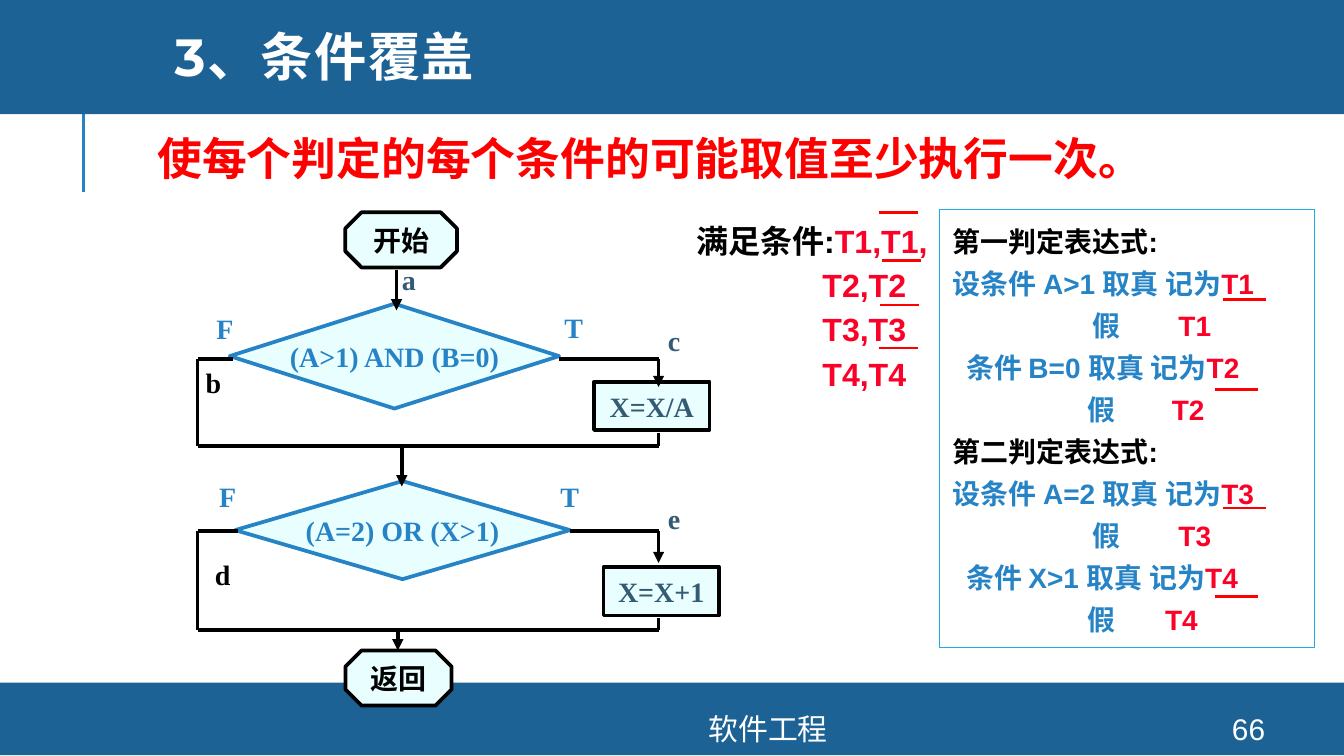
import pptx
import pptx.util
import pptx.dml.color
import pptx.enum.dml
import pptx.enum.shapes
import pptx.enum.text
import pptx.oxml.ns
from lxml import etree

Inches, Pt = pptx.util.Inches, pptx.util.Pt
Kind = pptx.enum.shapes.MSO_SHAPE
Align = pptx.enum.text.PP_ALIGN
Anchor = pptx.enum.text.MSO_ANCHOR
qn = pptx.oxml.ns.qn

HUE = {"band": "1D6294", "blue": "2683C6", "sky": "1CADE4", "ice": "E9FFFF",
       "slate": "335B74", "ink": "000000", "white": "FFFFFF",
       "red": "FF0000", "mark": "FC0128"}
CJK = "Noto Sans CJK SC"
SLIM = (0.07, 0.04)


def rgb(name):
    return pptx.dml.color.RGBColor.from_string(HUE[name])


def frame(shape, anchor=Anchor.TOP, inset=(0.1, 0.05), wrap=True):
    body = shape.text_frame
    body.auto_size = pptx.enum.text.MSO_AUTO_SIZE.NONE
    body.word_wrap = wrap
    body.vertical_anchor = anchor
    body.margin_left = body.margin_right = Inches(inset[0])
    body.margin_top = body.margin_bottom = Inches(inset[1])
    return body


def write(par, runs, size, face="Arial", bold=True, align=Align.LEFT,
          lead=None, tabs=()):
    """Fill a paragraph with (text, colour) runs."""
    par.alignment = align
    par.space_before = Pt(0)
    if lead:
        par.line_spacing = lead
    props = par._p.get_or_add_pPr()
    if tabs:
        stops = etree.SubElement(props, qn("a:tabLst"))
        for pos in tabs:
            etree.SubElement(stops, qn("a:tab"), pos=str(Inches(pos)), algn="l")
    par.font.name, par.font.size, par.font.bold = face, Pt(size), bold
    base = props.find(qn("a:defRPr"))
    for text, hue in runs:
        run = par.add_run()
        run.text = text
        if len(runs) > 1:
            run.font.color.rgb = rgb(hue)
    if len(runs) == 1:
        par.font.color.rgb = rgb(runs[0][1])
    etree.SubElement(base, qn("a:ea"), typeface=CJK)
    return base


def shape(slide, kind, box, fill=None, edge=None, width=2):
    item = slide.shapes.add_shape(kind, *map(Inches, box))
    item.shadow.inherit = False
    if fill:
        item.fill.solid()
        item.fill.fore_color.rgb = rgb(fill)
    else:
        item.fill.background()
    if edge:
        item.line.color.rgb = rgb(edge)
        item.line.width = Pt(width)
    else:
        item.line.fill.background()
    return item


def node(slide, kind, box, text, hue, edge="ink", face="Times New Roman"):
    item = shape(slide, kind, box, "ice", edge)
    if kind == Kind.OCTAGON:
        item.adjustments[0] = 0.293
    body = frame(item, Anchor.MIDDLE, wrap=False)
    write(body.paragraphs[0], [(text, hue)], 15, face, align=Align.CENTER)


def line(slide, ends, hue="ink", width=2, arrow=False):
    item = slide.shapes.add_connector(
        pptx.enum.shapes.MSO_CONNECTOR.STRAIGHT, *map(Inches, ends))
    item.line.color.rgb = rgb(hue)
    item.line.width = Pt(width)
    props = item._element.spPr
    if arrow:
        etree.SubElement(props.find(qn("a:ln")), qn("a:tailEnd"), type="triangle")
    etree.SubElement(props, qn("a:effectLst"))


def label(slide, box, text, hue, size=15, face="Times New Roman", **style):
    item = slide.shapes.add_textbox(*map(Inches, box))
    body = frame(item, style.pop("anchor", Anchor.TOP), SLIM)
    write(body.paragraphs[0], [(text, hue)], size, face, **style)


def heads(slide):
    """Bands, title, lead sentence and footer."""
    line(slide, (0.62, 1.43, 0.62, 0.68), "blue", 1.5)
    shape(slide, Kind.RECTANGLE, (0, 5.08, 10, 0.54), "band")
    shape(slide, Kind.RECTANGLE, (0, -0.03, 10, 0.88), "band")
    title, lead = slide.shapes.title, slide.placeholders[1]
    for item, box in ((title, (1.2, 0, 8.49, 0.91)), (lead, (1.1, 0.89, 7.71, 1.2))):
        item.left, item.top, item.width, item.height = map(Inches, box)
        slide.shapes._spTree.append(item._element)  # in front of the bands
    body = frame(title, Anchor.MIDDLE)
    base = write(body.paragraphs[0], [("3、条件覆盖", "white")], 28,
                 "Montserrat", lead=0.8)
    base.set("spc", "80")
    write(frame(lead, inset=SLIM).paragraphs[0],
          [("使每个判定的每个条件的可能取值至少执行一次。", "red")], 24,
          align=Align.JUSTIFY, lead=1.1)
    for left, wide, text in ((2.61, 6.21, "软件工程"), (8.89, 0.8, "66")):
        label(slide, (left, 5.31, wide, 0.23), text, "white", 16, "Arial",
              bold=False, align=Align.CENTER, anchor=Anchor.MIDDLE)


def branch(slide, x, y, test, size, inset, exit, step, drop, foot, join, tags):
    """One decision with its false wire, true step and joining wire."""
    wide, high = size
    west, east = x + 0.03, x + 3.46
    node(slide, Kind.DIAMOND, (x + inset, y, wide, high), test, "blue", "blue")
    text, left, top = step
    node(slide, Kind.RECTANGLE, (x + left, y + top, 0.86, 0.36), text, "slate")
    mid, end = y + exit, y + join
    for ends in ((x + inset + 0.02, mid, west, mid), (west, mid, west, end),
                 (west, end, east, end), (east, y + foot, east, end),
                 (x + inset + wide, mid, east, mid)):
        line(slide, ends)
    line(slide, (east, mid, east, y + drop), arrow=True)
    for text, hue, left, top in tags:
        label(slide, (x + left, y + top, 0.36, 0.33), text, hue)


def flow(slide, x, y):
    """Flow chart from start to return."""
    for text, top, wide in (("开始", 0, 0.83), ("返回", 3.26, 0.79)):
        node(slide, Kind.OCTAGON, (x + 1.13, y + top, wide, 0.41), text,
             "ink", face=CJK)
    branch(slide, x, y + 0.68, "(A>1) AND (B=0)", (2.45, 0.78), 0.27, 0.41,
           ("X=X/A", 2.98, 0.58), 0.62, 0.96, 1.06,
           (("F", "blue", 0.1, 0.02), ("T", "blue", 2.69, 0.01),
            ("b", "ink", 0.02, 0.42), ("c", "slate", 3.46, 0.11)))
    branch(slide, x, y + 2, "(A=2) OR (X>1)", (2.49, 0.73), 0.31, 0.37,
           ("X=X+1", 3.05, 0.64), 0.61, 1.02, 1.11,
           (("F", "blue", 0.12, -0.05), ("T", "blue", 2.66, -0.05),
            ("d", "ink", 0.09, 0.53), ("e", "slate", 3.46, 0.11)))
    for left, top, end in ((1.51, 0.43, 0.73), (1.55, 1.74, 2.04), (1.52, 3.11, 3.26)):
        line(slide, (x + left, y + top, x + left, y + end), arrow=True)
    label(slide, (x + 1.48, y + 0.33, 0.34, 0.33), "a", "slate")


def bars(slide, x, y, spots, wide):
    """Negation bars above the marks."""
    for left, top in spots:
        line(slide, (x + left, y + top, x + left + wide, y + top), "red", 1.5)


def goals(slide, x, y):
    """Conditions to satisfy."""
    item = slide.shapes.add_textbox(*map(Inches, (x, y, 2.64, 1.41)))
    body = frame(item, inset=SLIM)
    rows = [[("满足条件:", "ink"), ("T1,T1,", "mark")]]
    rows += [[(f"\tT{n},T{n}", "mark")] for n in (2, 3, 4)]
    for n, runs in enumerate(rows):
        par = body.add_paragraph() if n else body.paragraphs[0]
        write(par, runs, 17.2, lead=Pt(23.8), tabs=(0.94,))
    bars(slide, x, y, ((1.43, 0.02), (1.45, 0.38), (1.44, 0.71), (1.43, 1.03)), 0.29)


def rules(slide, x, y):
    """Marks given to each condition of both decisions."""
    item = shape(slide, Kind.RECTANGLE, (x, y, 2.79, 3.26), edge="sky", width=0.75)
    rows = []
    for order, first, second, n in (("一", "A>1", "B=0", 1), ("二", "A=2", "X>1", 3)):
        rows += [
            ([(f"第{order}判定表达式:", "ink")], ()),
            ([(f"设条件 {first} 取真 记为", "blue"), (f"T{n}", "mark")], ()),
            ([("\t假\t", "blue"), (f"T{n}", "mark")], (1.04, 1.68)),
            ([(f"\t条件 {second} 取真 记为", "blue"), (f"T{n + 1}", "mark")], (0.1,)),
            ([("\t假\t", "blue"), (f"T{n + 1}", "mark")], (1, 1.63 if n == 1 else 1.58))]
    body = frame(item)
    for n, (runs, tabs) in enumerate(rows):
        par = body.add_paragraph() if n else body.paragraphs[0]
        write(par, runs, 15, lead=Pt(22.5), tabs=tabs)
    bars(slide, x, y, ((2.11, 0.67), (2.05, 1.34), (2.11, 2.22), (2.05, 2.88)), 0.32)


def main():
    deck = pptx.Presentation()
    deck.slide_width = Inches(10)
    deck.slide_height = deck.slide_width * 9 // 16
    slide = deck.slides.add_slide(deck.slide_layouts[0])
    heads(slide)
    flow(slide, 1.44, 1.58)
    goals(slide, 5.11, 1.56)
    rules(slide, 6.99, 1.56)
    deck.save("out.pptx")


if __name__ == "__main__":
    main()
